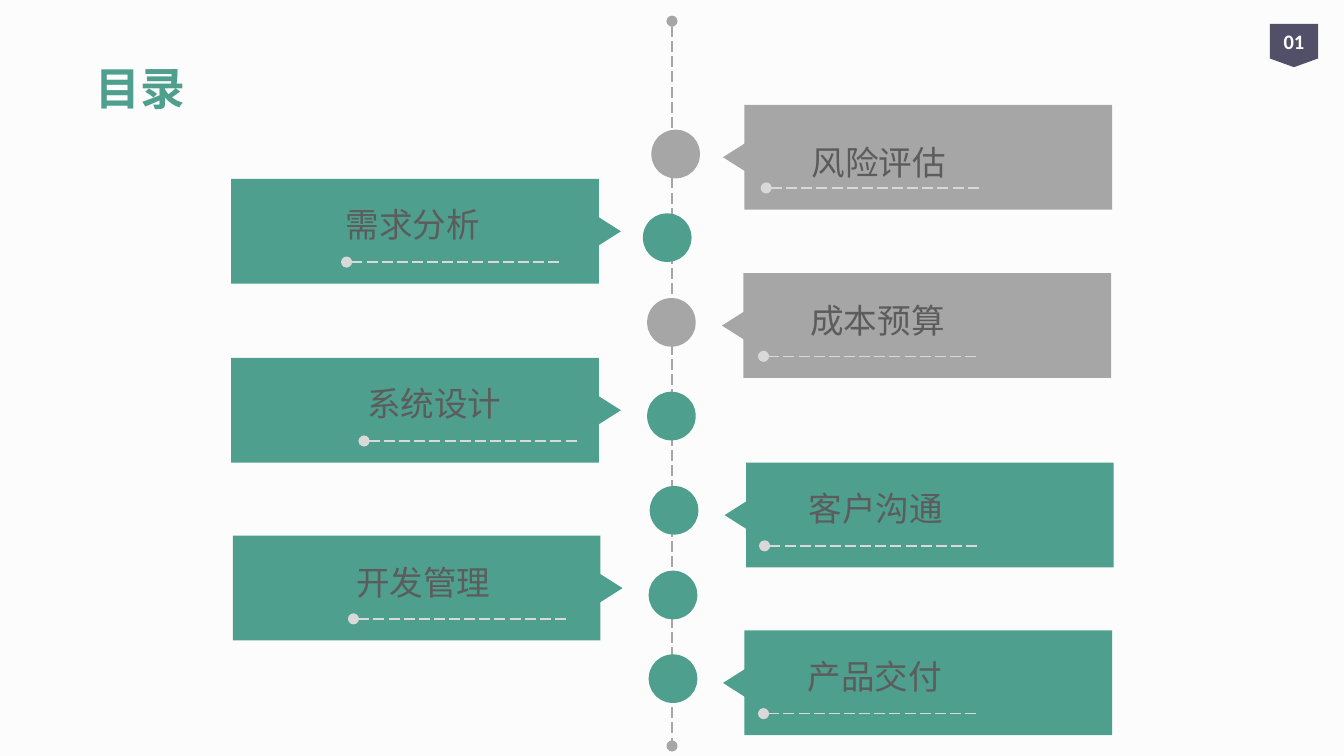
from lxml import etree
from pptx import Presentation
from pptx.dml.color import RGBColor
from pptx.enum.dml import MSO_LINE
from pptx.enum.shapes import MSO_CONNECTOR, MSO_SHAPE
from pptx.enum.text import MSO_ANCHOR, MSO_AUTO_SIZE, PP_ALIGN
from pptx.oxml.ns import qn
from pptx.util import Cm, Pt

COLORS = {
    "bg": "FCFCFC", "green": "4E9F8E", "gray": "A6A6A6", "rule": "D9D9D9",
    "text": "5C5C5C", "badge": "525068", "white": "FFFFFF",
}
TITLE = "目录"
PAGE = "01"
# text, side, color, card left, card top, text left, text offset, text width, rule left
CARDS = [
    ("需求分析", "left", "green", 4.37, 3.38, 6.35, 0.38, 4.7, 6.55),
    ("系统设计", "left", "green", 4.37, 6.76, 6.76, 0.38, 3.58, 6.88),
    ("开发管理", "left", "green", 4.4, 10.12, 6.55, 0.4, 3.58, 6.68),
    ("风险评估", "right", "gray", 14.07, 1.98, 14.17, 0.61, 4.88, 14.48),
    ("成本预算", "right", "gray", 14.05, 5.16, 14.17, 0.4, 4.83, 14.43),
    ("客户沟通", "right", "green", 14.1, 8.74, 14.22, 0.38, 4.67, 14.45),
    ("产品交付", "right", "green", 14.07, 11.91, 14.2, 0.38, 4.67, 14.43),
]
DOTS = [
    ("gray", 12.45, 2.59), ("green", 12.29, 4.17), ("gray", 12.37, 5.77),
    ("green", 12.37, 7.54), ("green", 12.42, 9.32), ("green", 12.4, 10.92),
    ("green", 12.4, 12.5),
]
CARD_W, CARD_H = 6.95, 1.98
TIP_W, TIP_H = 0.71, 0.56
TIP_SHIFT = {"left": (6.73, 90), "right": (-0.48, 270)}
RULE_OFFSET, RULE_LEN = 1.57, 4.02
DOT = 0.64


def rgb(name):
    return RGBColor.from_string(COLORS[name])


def add_shape(parent, kind, x, y, w, h, color):
    sp = parent.add_shape(kind, Cm(x), Cm(y), Cm(w), Cm(h))
    sp.shadow.inherit = False
    sp.fill.solid()
    sp.fill.fore_color.rgb = rgb(color)
    sp.line.fill.background()
    return sp


def add_dashed(x1, y1, x2, y2, color, ends):
    line = s.shapes.add_connector(MSO_CONNECTOR.STRAIGHT, Cm(x1), Cm(y1), Cm(x2), Cm(y2))
    line.line.color.rgb = rgb(color)
    line.line.width = Pt(0.75)
    line.line.dash_style = MSO_LINE.LONG_DASH
    ln = line.line._get_or_add_ln()
    for end in ends:
        etree.SubElement(ln, qn(f"a:{end}")).set("type", "oval")
    etree.SubElement(line._element.spPr, qn("a:effectLst"))


def write(sp, text, size, font, color, align, bold=False):
    tf = sp.text_frame
    tf.text = text
    p = tf.paragraphs[0]
    p.alignment = align
    r = p.runs[0]
    r.font.size, r.font.name, r.font.bold = Pt(size), font, bold
    r.font.color.rgb = rgb(color)
    return tf


def fit_frame(tf, wrap):
    tf.margin_left = tf.margin_right = Cm(0.18)
    tf.margin_top = tf.margin_bottom = Cm(0.1)
    tf.vertical_anchor = MSO_ANCHOR.TOP
    tf.word_wrap = wrap
    tf.auto_size = MSO_AUTO_SIZE.SHAPE_TO_FIT_TEXT


def add_card(text, side, color, x, y, text_x, text_dy, text_w, rule_x):
    group = s.shapes.add_group_shape().shapes
    shift, angle = TIP_SHIFT[side]
    tip = add_shape(group, MSO_SHAPE.ISOSCELES_TRIANGLE, x + shift, y + 0.71, TIP_W, TIP_H, color)
    tip.rotation = angle
    add_shape(group, MSO_SHAPE.RECTANGLE, x, y, CARD_W, CARD_H, color)
    box = s.shapes.add_textbox(Cm(text_x), Cm(y + text_dy), Cm(text_w), Cm(0.97))
    align = PP_ALIGN.LEFT if side == "left" else PP_ALIGN.CENTER
    fit_frame(write(box, text, 18, "Calibri", "text", align), True)
    rule_y = y + RULE_OFFSET
    add_dashed(rule_x, rule_y, rule_x + RULE_LEN, rule_y, "rule", ["headEnd"])


prs = Presentation()
prs.slide_width, prs.slide_height = Cm(25.4), Cm(14.28)
s = prs.slides.add_slide(prs.slide_layouts[5])
s.background.fill.solid()
s.background.fill.fore_color.rgb = rgb("bg")

title = s.shapes.title
title.left, title.top, title.width, title.height = Cm(1.63), Cm(1.04), Cm(2.11), Cm(1.22)
fit_frame(write(title, TITLE, 24, "Manrope", "green", PP_ALIGN.LEFT, True), False)

add_dashed(12.7, 0.4, 12.7, 14.09, "gray", ["headEnd", "tailEnd"])
for color, x, y in DOTS:
    dot = add_shape(s.shapes, MSO_SHAPE.OVAL, x, y, DOT, DOT, color)
    dot.line.color.rgb = rgb(color)
    dot.line.width = Pt(8)

for card in CARDS:
    add_card(*card)

badge = add_shape(s.shapes, MSO_SHAPE.FLOWCHART_OFFPAGE_CONNECTOR, 24, 0.45, 0.91, 0.82, "badge")
tf = write(badge, PAGE, 11, "Calibri", "white", PP_ALIGN.CENTER, True)
tf.margin_left = tf.margin_right = 0
tf.vertical_anchor = MSO_ANCHOR.MIDDLE

prs.save("out.pptx")
